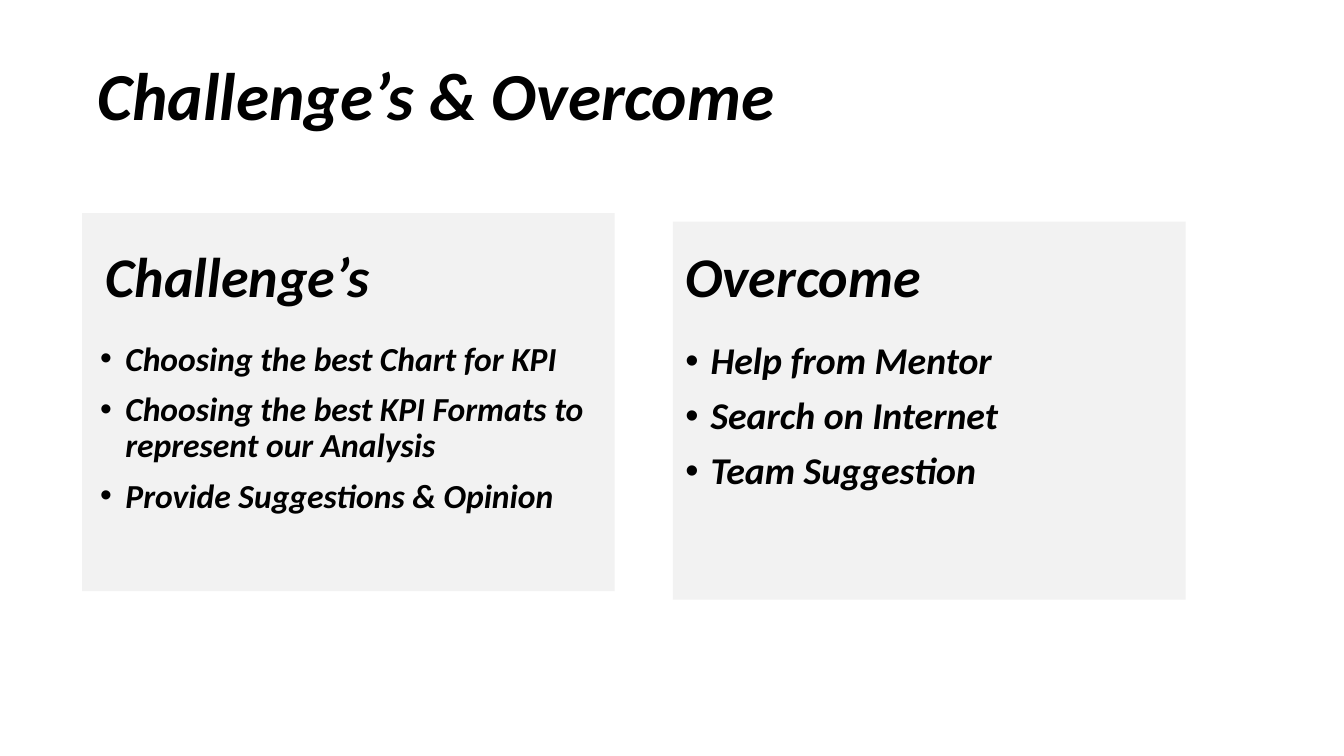
"""Builds the slide that sets challenges beside the ways they were overcome."""
from dataclasses import dataclass

from lxml.etree import SubElement
from pptx import Presentation
from pptx.dml.color import RGBColor
from pptx.enum.shapes import MSO_SHAPE as Shape
from pptx.enum.text import MSO_ANCHOR as Anchor, MSO_AUTO_SIZE as AutoSize, PP_ALIGN as Align
from pptx.oxml.ns import qn
from pptx.util import Inches, Pt


@dataclass(frozen=True)
class Theme:
    font: str = "Calibri"
    ink: RGBColor = RGBColor(0, 0, 0)
    panel: RGBColor = RGBColor(0x80, 0x80, 0x80)
    panel_opacity: int = 10
    title_size: int = 96
    heading_size: int = 80
    challenge_size: int = 48
    overcome_size: int = 54
    indent: float = 0.5


def write(frame, *lines, theme, size, anchor=Anchor.TOP, before=0, bullet=False):
    frame.word_wrap = True
    frame.auto_size = AutoSize.NONE
    frame.vertical_anchor = anchor
    for index, line in enumerate(lines):
        paragraph = frame.add_paragraph() if index else frame.paragraphs[0]
        paragraph.alignment = Align.LEFT
        paragraph.line_spacing = 0.9
        paragraph.space_before = Pt(before)
        if bullet:
            properties = paragraph._p.get_or_add_pPr()
            properties.set("marL", str(Inches(theme.indent)))
            properties.set("indent", str(-Inches(theme.indent)))
            SubElement(properties, qn("a:buFont"), typeface="Arial")
            SubElement(properties, qn("a:buChar"), char="•")
        run = paragraph.add_run()
        run.text = line
        run.font.name = theme.font
        run.font.size = Pt(size)
        run.font.bold = run.font.italic = True
        run.font.color.rgb = theme.ink


class SlideBuilder:
    """Places styled elements on a slide by grid columns and rows."""

    def __init__(self, deck, theme, columns=80, rows=45):
        self.theme = theme
        self.slide = deck.slides.add_slide(deck.slide_layouts[5])
        self.column = deck.slide_width / columns
        self.row = deck.slide_height / rows

    def box(self, left, top, width, height):
        return (round(left * self.column), round(top * self.row),
                round(width * self.column), round(height * self.row))

    def title(self, text, *place):
        heading = self.slide.shapes.title
        heading.left, heading.top, heading.width, heading.height = self.box(*place)
        write(heading.text_frame, text, theme=self.theme,
              size=self.theme.title_size, anchor=Anchor.MIDDLE)

    def panel(self, *place):
        panel = self.slide.shapes.add_shape(Shape.RECTANGLE, *self.box(*place))
        panel.shadow.inherit = False
        panel.line.fill.background()
        panel.fill.solid()
        panel.fill.fore_color.rgb = self.theme.panel
        tint = panel.fill._xPr.find(qn("a:solidFill"))[0]
        SubElement(tint, qn("a:alpha"), val=str(self.theme.panel_opacity * 1000))

    def text(self, lines, place, **style):
        area = self.slide.shapes.add_textbox(*self.box(*place))
        write(area.text_frame, *lines, theme=self.theme, before=20, **style)

    def heading(self, text, left, width):
        self.text([text], (left, 13.2, width, 5.4),
                  size=self.theme.heading_size, anchor=Anchor.BOTTOM)

    def bullets(self, points, left, width, size):
        self.text(points, (left, 20.22, width, 12.1), size=size, bullet=True)


def main():
    deck = Presentation()
    deck.slide_width, deck.slide_height = Inches(26.67), Inches(15)
    theme = Theme()
    builder = SlideBuilder(deck, theme)

    builder.title("Challenge’s & Overcome", 5.52, 2.4, 42.86, 6.9)

    builder.panel(40.05, 13.2, 30.53, 22.5)
    builder.panel(4.89, 12.69, 31.7, 22.5)

    challenges = ["Choosing the best Chart for KPI",
                  "Choosing the best KPI Formats to represent our Analysis",
                  "Provide Suggestions & Opinion"]
    builder.heading("Challenge’s", 6, 23.82)
    builder.bullets(challenges, 5.67, 30.92, theme.challenge_size)

    solutions = ["Help from Mentor", "Search on Internet", "Team Suggestion"]
    builder.heading("Overcome", 40.5, 28.83)
    builder.bullets(solutions, 40.5, 28.83, theme.overcome_size)

    deck.save("out.pptx")


if __name__ == "__main__":
    main()
